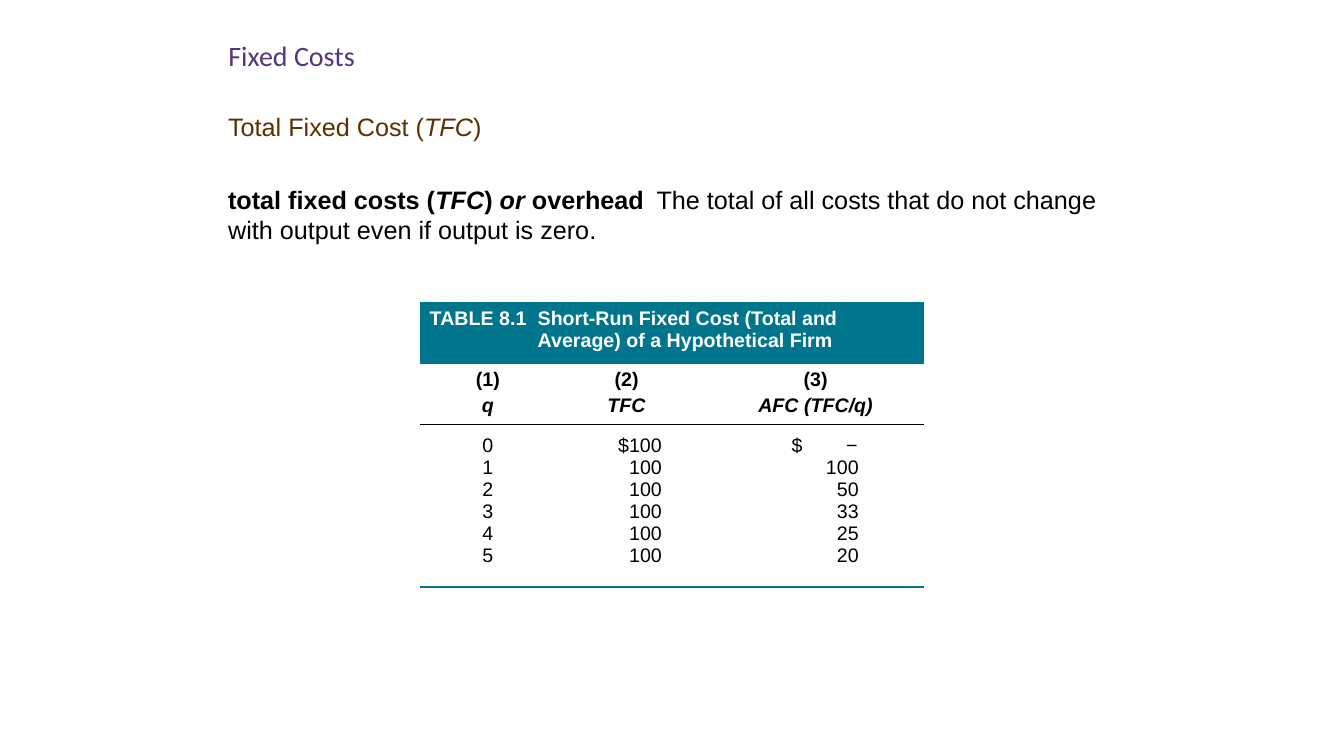
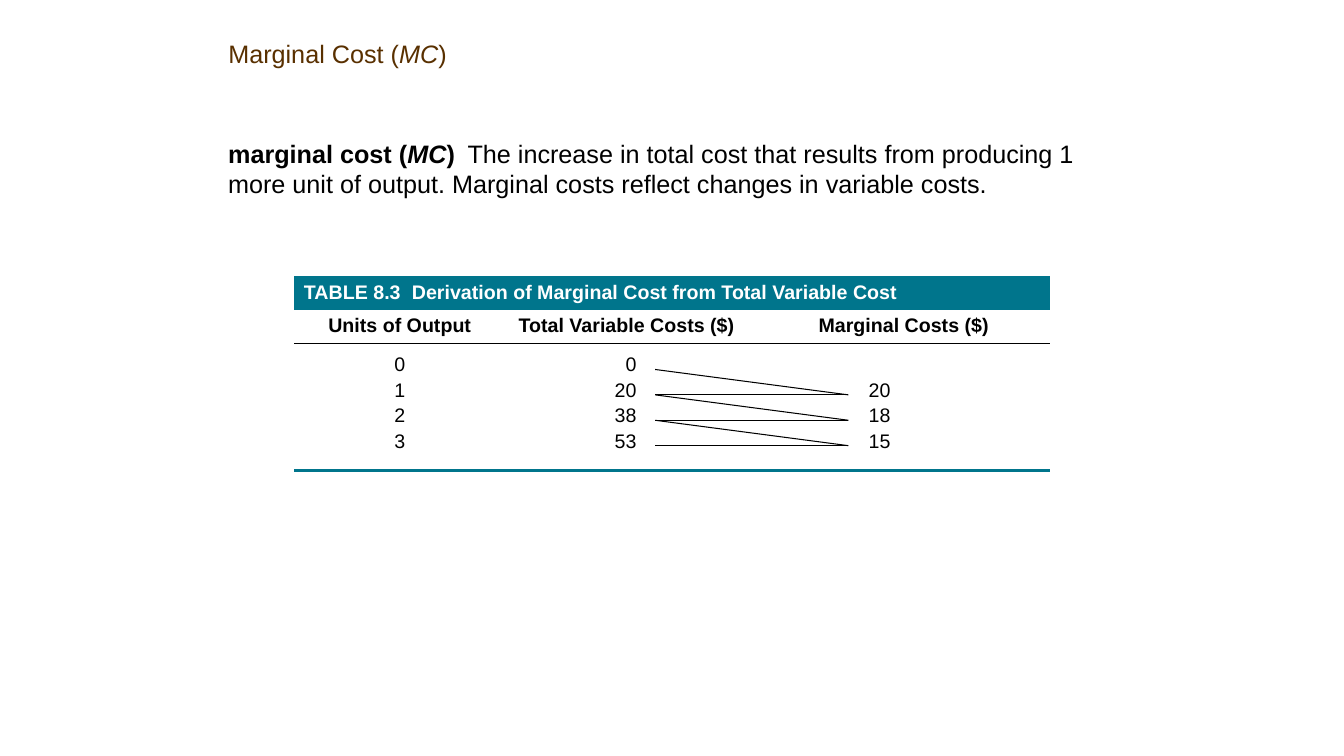
import dataclasses

import lxml.etree
import pptx
import pptx.dml.color
import pptx.enum.shapes
import pptx.enum.text
import pptx.oxml.ns
import pptx.util

Cm, Pt = pptx.util.Cm, pptx.util.Pt
RGB = pptx.dml.color.RGBColor.from_string
ALIGN = pptx.enum.text.PP_ALIGN
qn = pptx.oxml.ns.qn


@dataclasses.dataclass(frozen=True)
class TextStyle:
    """Font, size, colour and weight of a paragraph."""
    size: float
    color: str
    font: str = "Arial"
    bold: bool = False
    italic: bool = False


@dataclasses.dataclass(frozen=True)
class Theme:
    """Colours, type styles and shared measures in centimetres."""
    teal: str = "00758C"
    black: str = "000000"
    topic: TextStyle = TextStyle(20, "55367D", "Calibri")
    heading: TextStyle = TextStyle(18, "593000")
    body: TextStyle = TextStyle(18, "000000")
    caption: TextStyle = TextStyle(14, "FFFFFF", bold=True)
    column_head: TextStyle = TextStyle(14, "000000", bold=True)
    symbol_head: TextStyle = TextStyle(14, "000000", bold=True, italic=True)
    value: TextStyle = TextStyle(14, "000000")
    left: float = 5.5
    title_top: float = 0.85
    heading_size: tuple = (17.78, 1.07)
    body_width: float = 22.86
    inset: float = 0.25
    caption_indent: float = 2.72
    no_grid: str = "{2D5ABB26-0587-4C30-8999-92F81FD0307C}"


@dataclasses.dataclass(frozen=True)
class Column:
    """One table column: width, heading lines, values and their placing."""
    width: float
    heads: tuple
    values: tuple
    align: int = ALIGN.CENTER
    right: float = 0
    top: float = 0.25
    tabs: tuple = ()


class Deck:
    """Holds the theme, the presentation and the current slide."""

    def __init__(self, theme):
        """Start an empty widescreen presentation."""
        self.theme = theme
        self.prs = pptx.Presentation()
        self.prs.slide_width, self.prs.slide_height = Cm(33.87), Cm(19.05)
        self.slide = None

    def add_runs(self, p, runs, style, align=ALIGN.LEFT):
        """Fill a paragraph with (text, marks) runs; marks are b and i."""
        p.alignment = align
        p.font.name, p.font.size = style.font, Pt(style.size)
        p.font.bold, p.font.italic = style.bold, style.italic
        p.font.color.rgb = RGB(style.color)
        for text, marks in runs:
            r = p.add_run()
            r.text = text
            if "b" in marks:
                r.font.bold = True
            if "i" in marks:
                r.font.italic = True

    def new_slide(self, runs, style):
        """Add a slide and format its title placeholder."""
        self.slide = self.prs.slides.add_slide(self.prs.slide_layouts[5])
        sp = self.slide.shapes.title
        sp.left, sp.top = Cm(self.theme.left), Cm(self.theme.title_top)
        sp.width, sp.height = map(Cm, self.theme.heading_size)
        tf = sp.text_frame
        tf.auto_size = pptx.enum.text.MSO_AUTO_SIZE.NONE
        tf.vertical_anchor = pptx.enum.text.MSO_ANCHOR.TOP
        self.add_runs(tf.paragraphs[0], runs, style)

    def text(self, top, size, runs, style):
        """Add a wrapping text box at the shared left edge."""
        sp = self.slide.shapes.add_textbox(
            Cm(self.theme.left), Cm(top), *map(Cm, size))
        sp.text_frame.word_wrap = True
        self.add_runs(sp.text_frame.paragraphs[0], runs, style)

    def rule_below(self, cell, color, width):
        """Draw the bottom border of a cell."""
        ln = lxml.etree.Element(qn("a:lnB"), w=str(Pt(width)))
        fill = lxml.etree.SubElement(ln, qn("a:solidFill"))
        lxml.etree.SubElement(fill, qn("a:srgbClr"), val=color)
        cell._tc.get_or_add_tcPr().insert(0, ln)

    def tab_stops(self, p, stops):
        """Set left tab stops on a paragraph."""
        tabs = lxml.etree.Element(qn("a:tabLst"))
        for stop in stops:
            lxml.etree.SubElement(
                tabs, qn("a:tab"), pos=str(Cm(stop)), algn="l")
        p._p.get_or_add_pPr().find(qn("a:defRPr")).addprevious(tabs)

    def cell_lines(self, cell, lines, align, right, top, gap):
        """Put (text, style) lines into a cell, one paragraph each."""
        cell.margin_left, cell.margin_right = Cm(self.theme.inset), Cm(right)
        cell.margin_top = Cm(top)
        tf = cell.text_frame
        for i, (text, style) in enumerate(lines):
            p = tf.add_paragraph() if i else tf.paragraphs[0]
            self.add_runs(p, [(text, "")], style, align)
            p.space_before = Pt(gap if i else 0)

    def table(self, at, heights, caption, columns, gap):
        """Add a captioned table with a heading row and a row of values."""
        th = self.theme
        frame = self.slide.shapes.add_table(
            3, len(columns), *map(Cm, at),
            Cm(sum(c.width for c in columns)), Cm(sum(heights)))
        table = frame.table
        table.first_row = table.horz_banding = False
        next(frame.element.iter(qn("a:tableStyleId"))).text = th.no_grid
        for row, height in zip(table.rows, heights):
            row.height = Cm(height)

        title = table.cell(0, 0)
        title.merge(table.cell(0, len(columns) - 1))
        title.fill.solid()
        title.fill.fore_color.rgb = RGB(th.teal)
        self.cell_lines(title, [(caption, th.caption)],
                        ALIGN.LEFT, th.inset, 0.13, 0)
        pPr = title.text_frame.paragraphs[0]._p.get_or_add_pPr()
        pPr.set("marL", str(Cm(th.caption_indent)))
        pPr.set("indent", str(-Cm(th.caption_indent)))

        for i, col in enumerate(columns):
            table.columns[i].width = Cm(col.width)
            head, data = table.cell(1, i), table.cell(2, i)
            styles = (th.column_head, th.symbol_head)
            self.cell_lines(head, zip(col.heads, styles),
                            ALIGN.CENTER, 0, 0.13, 2.6)
            self.cell_lines(data, [(v, th.value) for v in col.values],
                            col.align, col.right, col.top, gap)
            data.margin_bottom = 0
            if col.tabs:
                first = data.text_frame.paragraphs[0]
                first.alignment = ALIGN.LEFT
                self.tab_stops(first, col.tabs)
            for cell in (head, data):
                cell.fill.background()
            self.rule_below(head, th.black, 1)
            self.rule_below(data, th.teal, 2.25)

    def line(self, group, start, end):
        """Add a thin black line to a group."""
        sp = group.shapes.add_connector(
            pptx.enum.shapes.MSO_CONNECTOR.STRAIGHT,
            *map(Cm, start + end))
        sp.line.color.rgb = RGB(self.theme.black)
        sp.line.width = Pt(0.75)
        lxml.etree.SubElement(sp.element.spPr, qn("a:effectLst"))

    def difference_lines(self, left, right, top, step, count):
        """Join each pair of neighbouring totals to their difference."""
        group = self.slide.shapes.add_group_shape()
        for i in range(count):
            y = top + i * step
            tip = (right, y + step)
            self.line(group, (left, y), tip)
            self.line(group, tip, (left, y + step))


def fixed_costs(deck):
    """Build the slide on total fixed cost."""
    th = deck.theme
    deck.new_slide([("Fixed Costs", "")], th.topic)
    deck.text(2.67, th.heading_size,
              [("Total Fixed Cost (", ""), ("TFC", "i"), (")", "")],
              th.heading)
    deck.text(4.52, (th.body_width, 2.74), [
        ("total fixed costs (", "b"), ("TFC", "bi"), (") ", "b"),
        ("or", "bi"), (" overhead\u2002", "b"),
        ("The total of all costs that do not change with output even if "
         "output is zero.", "")], th.body)
    deck.table(
        (10.58, 7.62), (1.54, 1.54, 4.09),
        "TABLE 8.1\tShort-Run Fixed Cost (Total and Average) of a "
        "Hypothetical Firm",
        [Column(3.18, ("(1)", "q"), tuple("012345")),
         Column(3.81, ("(2)", "TFC"), ("$100",) + ("100",) * 5,
                ALIGN.RIGHT, 0.89),
         Column(5.72, ("(3)", "AFC (TFC/q)"),
                ("\t$\t\u2212", "100", "50", "33", "25", "20"),
                ALIGN.RIGHT, 1.65, tabs=(2.13, 3.5))],
        gap=0)


def marginal_cost(deck):
    """Build the slide on marginal cost."""
    th = deck.theme
    deck.new_slide([("Marginal Cost (", ""), ("MC", "i"), (")", "")],
                   th.heading)
    deck.text(3.35, (th.body_width, 2.13), [
        ("marginal cost (", "b"), ("MC", "bi"), (")\u2002", "b"),
        ("The increase in total cost that results from producing 1 more "
         "unit of output. Marginal costs reflect changes in variable "
         "costs.", "")], th.body)
    deck.table(
        (7.41, 6.96), (0.85, 0.85, 3.2),
        "TABLE 8.3\tDerivation of Marginal Cost from Total Variable Cost",
        [Column(5.08, ("Units of Output",), tuple("0123")),
         Column(6.35, ("Total Variable Costs ($)",),
                ("0", "20", "38", "53"), ALIGN.RIGHT, 2.8),
         Column(7.62, ("Marginal Costs ($)",), ("20", "18", "15"),
                ALIGN.RIGHT, 4.02, top=0.9)],
        gap=2.6)
    deck.difference_lines(16.51, 21.38, 9.31, 0.64, 3)


deck = Deck(Theme())
fixed_costs(deck)
marginal_cost(deck)
deck.prs.save("out.pptx")
